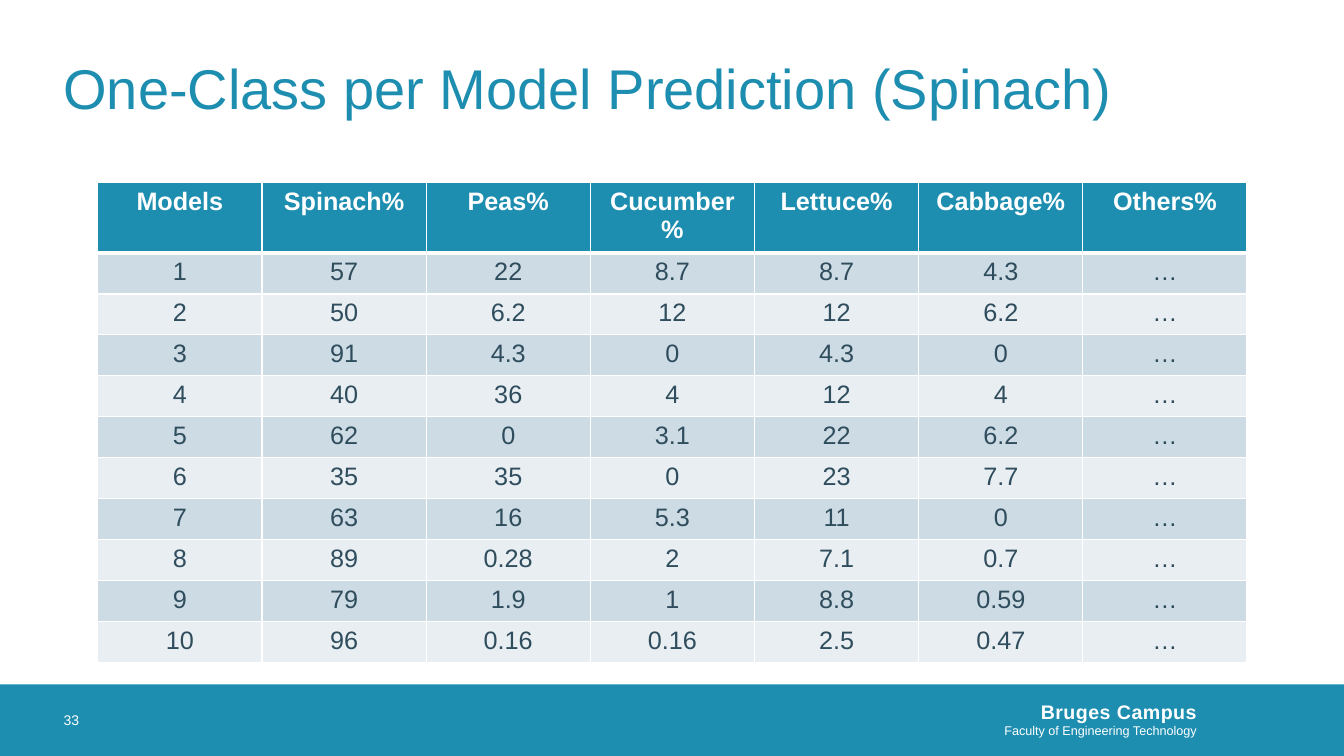
import pptx
import pptx.dml.color
import pptx.enum.shapes
import pptx.enum.text
import pptx.oxml
import pptx.oxml.ns
import pptx.util

Inches = pptx.util.Inches
Pt = pptx.util.Pt
ALIGN = pptx.enum.text.PP_ALIGN
TEAL, WHITE, SLATE = "1D8DB0", "FFFFFF", "2F4D5D"
BANDS = ["CDDBE4", "E8EEF2"]


def style(p, size, color, bold=False, align=ALIGN.LEFT):
    """Align a paragraph and format its runs."""
    p.alignment = align
    for r in p.runs:
        r.font.name = "Arial"
        r.font.size = Pt(size)
        r.font.bold = bold
        r.font.color.rgb = pptx.dml.color.RGBColor.from_string(color)


def add_text(s, text, left, top, width, height, right_inset=0):
    """Add a vertically centred, wrapping text box and return its paragraphs."""
    box = s.shapes.add_textbox(Inches(left), Inches(top), Inches(width), Inches(height))
    tf = box.text_frame
    tf.word_wrap = True
    tf.vertical_anchor = pptx.enum.text.MSO_ANCHOR.MIDDLE
    tf.margin_left = tf.margin_top = tf.margin_bottom = 0
    tf.margin_right = Inches(right_inset)
    tf.text = text
    return tf.paragraphs


prs = pptx.Presentation()
prs.slide_width = Inches(13.33)
prs.slide_height = Inches(7.5)
s = prs.slides.add_slide(prs.slide_layouts[6])

# Footer band
band = s.shapes.add_shape(pptx.enum.shapes.MSO_SHAPE.RECTANGLE,
                          0, Inches(6.79), prs.slide_width, Inches(0.71))
band.shadow.inherit = False
band.fill.solid()
band.fill.fore_color.rgb = pptx.dml.color.RGBColor.from_string(TEAL)
band.line.fill.background()

campus, faculty = add_text(s, "Bruges Campus\nFaculty of Engineering Technology",
                           5.71, 6.77, 6.36, 0.73, right_inset=0.2)
style(campus, 14, WHITE, bold=True, align=ALIGN.RIGHT)
campus.runs[0].font._element.set("spc", "30")
style(faculty, 9, WHITE, align=ALIGN.RIGHT)

page_number = add_text(s, "33", 0.63, 6.79, 0.71, 0.71)
style(page_number[0], 10, WHITE)

title = add_text(s, "One-Class per Model Prediction (Spinach)", 0.63, 0.23, 12.07, 1.26)
style(title[0], 40, TEAL)

# Predictions: the model number leads each row and "…" closes it
header = ["Models", "Spinach%", "Peas%", "Cucumber%", "Lettuce%", "Cabbage%", "Others%"]
predictions = [
    ["57", "22", "8.7", "8.7", "4.3"],
    ["50", "6.2", "12", "12", "6.2"],
    ["91", "4.3", "0", "4.3", "0"],
    ["40", "36", "4", "12", "4"],
    ["62", "0", "3.1", "22", "6.2"],
    ["35", "35", "0", "23", "7.7"],
    ["63", "16", "5.3", "11", "0"],
    ["89", "0.28", "2", "7.1", "0.7"],
    ["79", "1.9", "1", "8.8", "0.59"],
    ["96", "0.16", "0.16", "2.5", "0.47"],
]
rows = [header] + [[str(n), *values, "…"] for n, values in enumerate(predictions, 1)]

header_height, body_height = Inches(0.65), Inches(4.06)
table = s.shapes.add_table(len(rows), len(header), Inches(0.97), Inches(1.81),
                           Inches(11.4), header_height + body_height).table
for i, row in enumerate(rows):
    is_header = i == 0
    table.rows[i].height = header_height if is_header else body_height // len(predictions)
    fill = TEAL if is_header else BANDS[(i - 1) % 2]
    for j, text in enumerate(row):
        cell = table.cell(i, j)
        cell.text = text
        style(cell.text_frame.paragraphs[0], 18, WHITE if is_header else SLATE,
              bold=is_header, align=ALIGN.CENTER)
        cell.fill.solid()
        cell.fill.fore_color.rgb = pptx.dml.color.RGBColor.from_string(fill)
        # The rule under the header is thicker than the other borders
        widths = {"L": 1, "R": 1, "T": 3 if i == 1 else 1, "B": 3 if is_header else 1}
        for k, (side, width) in enumerate(widths.items()):
            border = pptx.oxml.parse_xml(
                f'<a:ln{side} {pptx.oxml.ns.nsdecls("a")} w="{Pt(width)}">'
                f'<a:solidFill><a:srgbClr val="{WHITE}"/></a:solidFill></a:ln{side}>')
            cell._tc.get_or_add_tcPr().insert(k, border)

prs.save("out.pptx")
